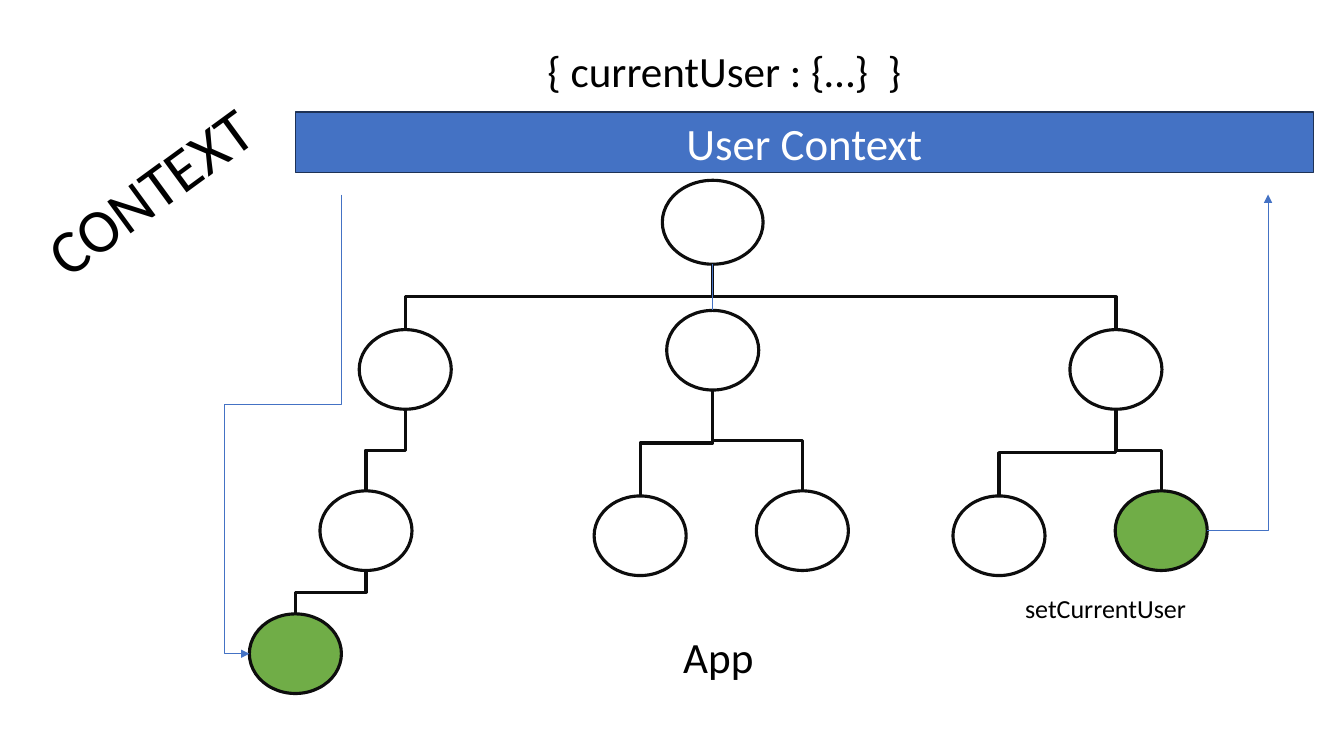
from lxml.etree import SubElement
from pptx import Presentation
from pptx.dml.color import RGBColor
from pptx.enum.shapes import MSO_CONNECTOR, MSO_SHAPE
from pptx.enum.text import MSO_ANCHOR, MSO_AUTO_SIZE, PP_ALIGN
from pptx.oxml.ns import qn
from pptx.util import Inches, Pt

WIDTH, HEIGHT = Inches(13.33), Inches(7.5)
FONT = "Calibri"
COLORS = {"black": "000000", "white": "FFFFFF", "ink": "0D0D0D",
          "blue": "4472C4", "navy": "1E3256", "green": "70AD47"}

# Positions and sizes are columns and rows of a 100 x 100 grid on the slide
ROOT_SIZE = (7.5, 11.1)
NODE_SIZE = (6.85, 10.53)
# name: (centre column, centre row, fill)
NODES = {
    "root": (53.03, 29.4, None),
    "middle": (53.03, 46.33, None),
    "right": (83.03, 48.87, None),
    "left": (30.15, 48.87, None),
    "middle_a": (47.63, 70.87, None),
    "middle_b": (59.7, 70.2, None),
    "left_a": (27.23, 70.2, None),
    "right_a": (74.33, 70.87, None),
    "setter": (86.4, 70.2, "green"),
    "reader": (21.98, 86.47, "green"),
}
BRANCHES = [("root", "left"), ("root", "right"), ("left", "left_a"),
            ("left_a", "reader"), ("middle", "middle_a"),
            ("middle", "middle_b"), ("right", "right_a"), ("right", "setter")]
# text, left, top, width, size
LABELS = [("App", 50.1, 84.27, 9.6, 30.8),
          ("{ currentUser : {…}  }", 39.98, 6.8, 29.85, 30.8),
          ("setCurrentUser", 75.53, 77.6, 13.95, 18.6)]
LABEL_HEIGHT = 6.67
CONTEXT_ROW = 25.73


def rgb(name):
    return RGBColor.from_string(COLORS[name])


def col(x):
    return round(WIDTH * x / 100)


def row(y):
    return round(HEIGHT * y / 100)


def box(left, top, width, height):
    return col(left), row(top), col(width), row(height)


def write(shape, text, size, color="black", align=PP_ALIGN.LEFT, spacing=None):
    tf = shape.text_frame
    tf.text = text
    tf.word_wrap = True
    tf.auto_size = MSO_AUTO_SIZE.NONE
    tf.vertical_anchor = MSO_ANCHOR.MIDDLE
    p = tf.paragraphs[0]
    p.alignment = align
    p.line_spacing = spacing
    font = p.runs[0].font
    font.name, font.size, font.color.rgb = FONT, Pt(size), rgb(color)


def add_block(s, kind, bounds, fill, line, weight):
    sp = s.shapes.add_shape(kind, *bounds)
    sp.shadow.inherit = False
    if fill:
        sp.fill.solid()
        sp.fill.fore_color.rgb = rgb(fill)
    else:
        sp.fill.background()
    sp.line.color.rgb = rgb(line)
    sp.line.width = Pt(weight)
    return sp


def add_node(s, name):
    x, y, fill = NODES[name]
    w, h = node_size(name)
    add_block(s, MSO_SHAPE.OVAL, box(x - w / 2, y - h / 2, w, h),
              fill, "ink", 2.25)


def node_size(name):
    return ROOT_SIZE if name == "root" else NODE_SIZE


def edge(name, dx=0, dy=0):
    """Point on a node's outline: dx, dy are -1, 0 or 1."""
    x, y, _ = NODES[name]
    w, h = node_size(name)
    return x + dx * w / 2, y + dy * h / 2


def style_elbow(c, color, weight, arrow=False, preset=None, adjust=()):
    c.line.color.rgb = rgb(color)
    c.line.width = Pt(weight)
    if arrow:
        SubElement(c.line._get_or_add_ln(), qn("a:tailEnd"), type="triangle")
    spPr = c.element.spPr
    SubElement(spPr, qn("a:effectLst"))
    geom = spPr.find(qn("a:prstGeom"))
    if preset:
        geom.set("prst", preset)
    for i, share in enumerate(adjust, 1):
        SubElement(geom.find(qn("a:avLst")), qn("a:gd"), name=f"adj{i}",
                   fmla=f"val {round(share * 100000)}")


def add_drop(s, start, end, *style, **options):
    """Elbow that leaves downwards: a level one turned by a quarter."""
    x1, y1, x2, y2 = col(start[0]), row(start[1]), col(end[0]), row(end[1])
    w, h = y2 - y1, abs(x2 - x1)
    left, top = (x1 + x2 - w) // 2, (y1 + y2 - h) // 2
    c = s.shapes.add_connector(MSO_CONNECTOR.ELBOW, left, top, left + w, top + h)
    xfrm = c.element.spPr.find(qn("a:xfrm"))
    xfrm.set("rot", str((270 if x2 > x1 else 90) * 60000))
    if x2 > x1:
        xfrm.set("flipH", "1")
    style_elbow(c, *style, **options)


def add_rise(s, start, end, *style, **options):
    """Elbow that leaves sideways and then turns once."""
    c = s.shapes.add_connector(MSO_CONNECTOR.ELBOW, col(start[0]), row(start[1]),
                               col(end[0]), row(end[1]))
    style_elbow(c, *style, preset="bentConnector2", **options)


def main():
    prs = Presentation()
    prs.slide_width, prs.slide_height = WIDTH, HEIGHT
    s = prs.slides.add_slide(prs.slide_layouts[5])

    # Slanted title
    title = s.shapes.title
    title.left, title.top, title.width, title.height = box(1.58, 14.93, 21.08, 19.33)
    title.rotation = 323.8
    write(title, "CONTEXT", 44, spacing=0.9)

    # Context bar
    bar = add_block(s, MSO_SHAPE.RECTANGLE, box(21.98, 14.8, 75.75, 8),
                    "blue", "navy", 1)
    write(bar, "User Context", 32, "white", PP_ALIGN.CENTER)

    # Component tree
    for name in NODES:
        add_node(s, name)
    for parent, child in BRANCHES:
        add_drop(s, edge(parent, dy=1), edge(child, dy=-1), "ink", 2.25)
    add_drop(s, edge("root", dy=1), edge("middle", dy=-1), "blue", 0.5)

    # Labels
    for text, left, top, width, size in LABELS:
        label = s.shapes.add_textbox(*box(left, top, width, LABEL_HEIGHT))
        write(label, text, size, spacing=0.7)

    # Flow to and from the context
    add_rise(s, edge("setter", dx=1), (94.35, CONTEXT_ROW), "blue", 0.5, arrow=True)
    add_drop(s, (25.43, CONTEXT_ROW), edge("reader", dx=-1), "blue", 0.5,
             arrow=True, preset="bentConnector4", adjust=(0.457, 1.275))

    prs.save("out.pptx")


main()
